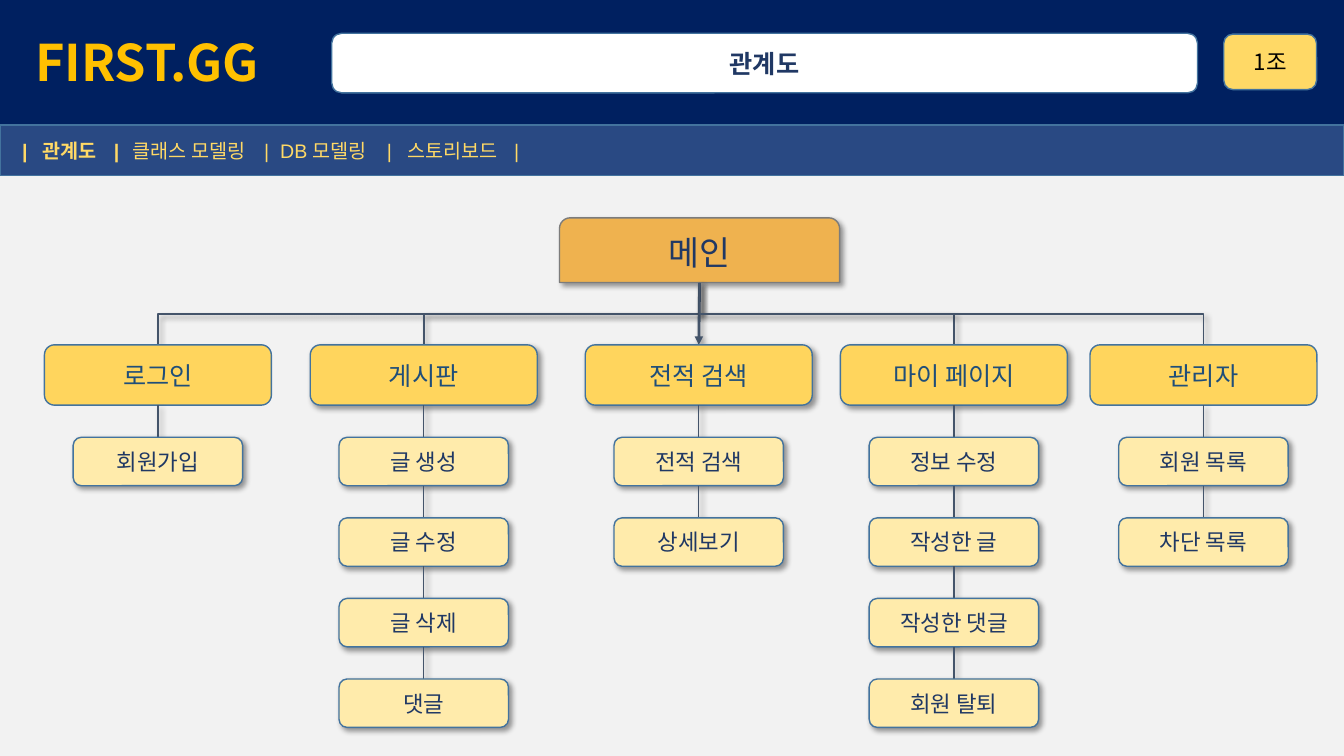
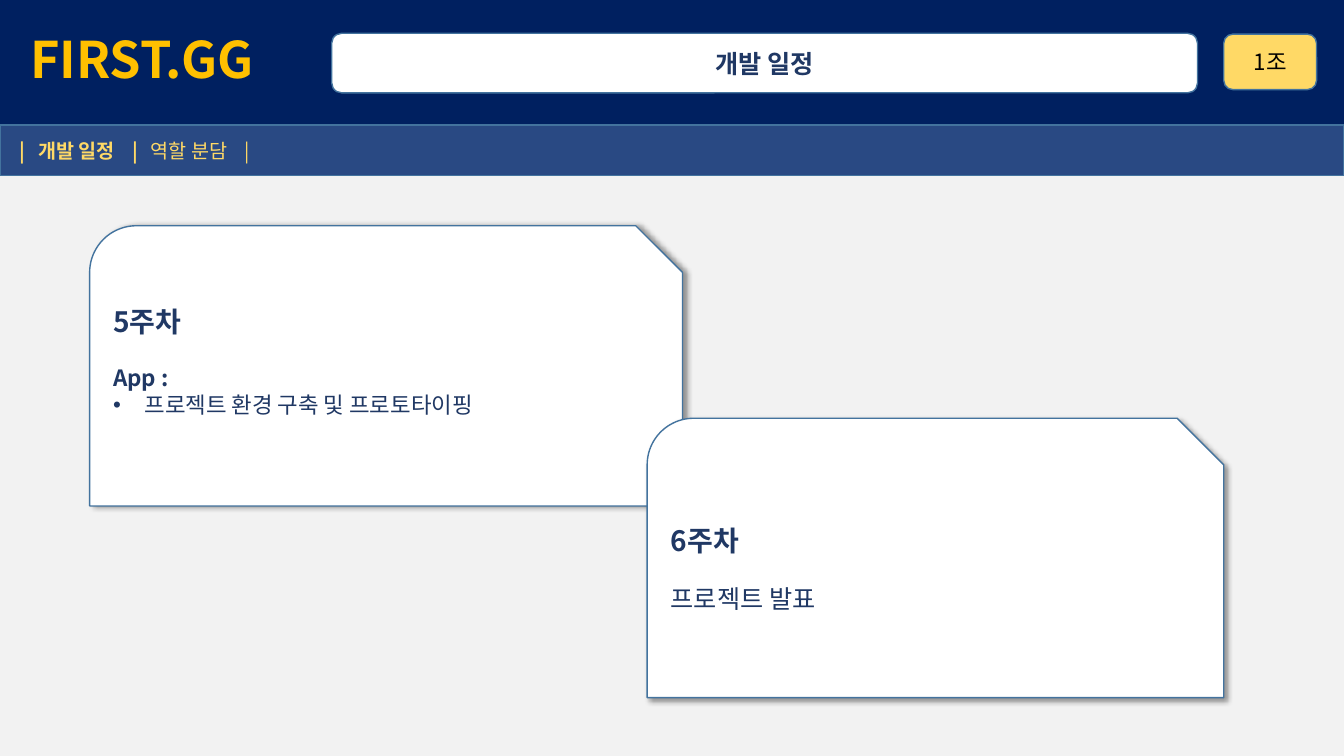
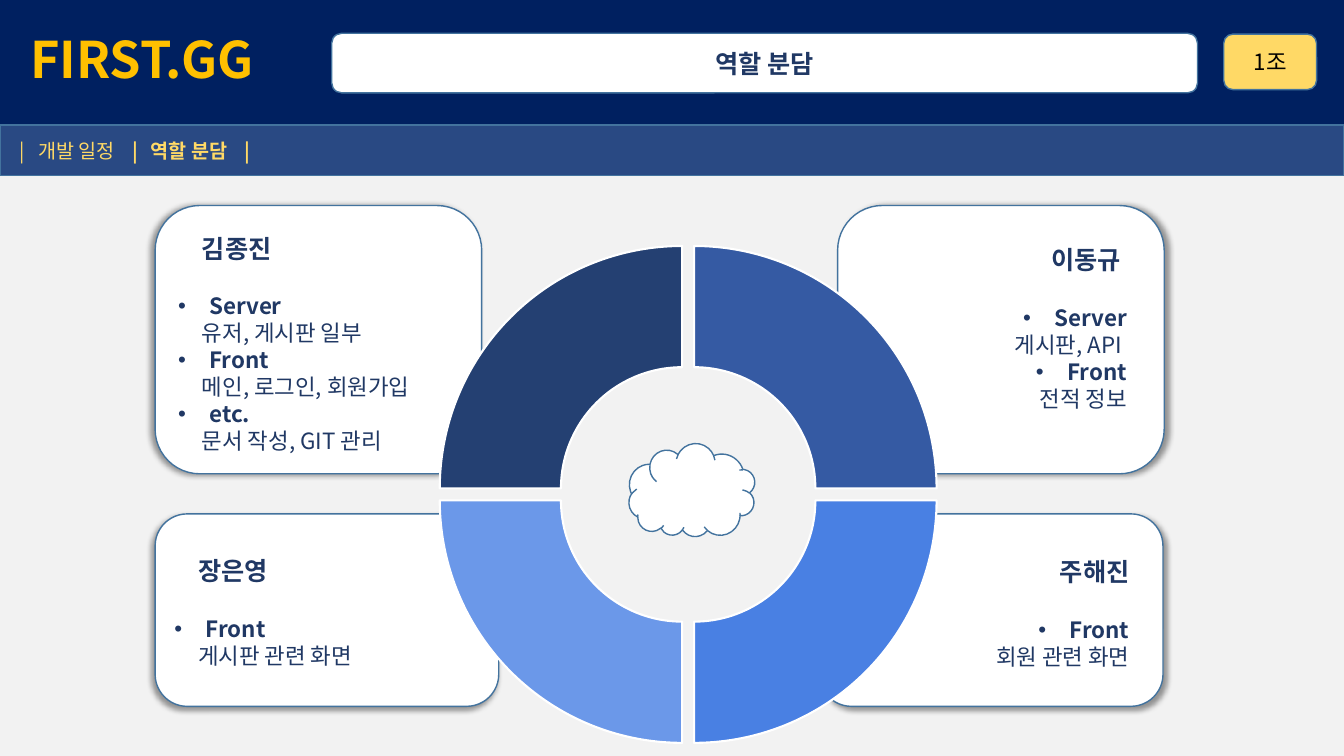
"""Build the project deck: site map, schedule and roles."""
from lxml import etree
from pptx import Presentation
from pptx.chart.data import CategoryChartData
from pptx.dml.color import RGBColor
from pptx.enum.chart import XL_CHART_TYPE
from pptx.enum.shapes import MSO_CONNECTOR, MSO_SHAPE
from pptx.enum.text import MSO_ANCHOR, PP_ALIGN
from pptx.oxml.ns import qn
from pptx.util import Cm, Pt

RECT = MSO_SHAPE.RECTANGLE
ROUND = MSO_SHAPE.ROUNDED_RECTANGLE
ROUND_TOP = MSO_SHAPE.ROUND_2_SAME_RECTANGLE
SNIP_ROUND = MSO_SHAPE.SNIP_ROUND_SINGLE_CORNER if hasattr(
    MSO_SHAPE, "SNIP_ROUND_SINGLE_CORNER") else MSO_SHAPE.SNIP_ROUND_RECTANGLE
CLOUD = MSO_SHAPE.CLOUD
STRAIGHT, ELBOW = MSO_CONNECTOR.STRAIGHT, MSO_CONNECTOR.ELBOW
DOUGHNUT = XL_CHART_TYPE.DOUGHNUT
LEFT, CENTER, RIGHT = PP_ALIGN.LEFT, PP_ALIGN.CENTER, PP_ALIGN.RIGHT
TOP, MIDDLE = MSO_ANCHOR.TOP, MSO_ANCHOR.MIDDLE

FONT = "Noto Sans CJK KR"
WHITE = RGBColor(0xFF, 0xFF, 0xFF)
BLACK = RGBColor(0, 0, 0)
PAPER = RGBColor(0xF2, 0xF2, 0xF2)
NAVY = RGBColor(0x00, 0x20, 0x60)
MENU_BLUE = RGBColor(0x29, 0x49, 0x83)
EDGE = RGBColor(0x43, 0x73, 0x9E)
INK = RGBColor(0x20, 0x38, 0x64)
HEAD_INK = RGBColor(0x1F, 0x4E, 0x79)
GOLD = RGBColor(0xFF, 0xC0, 0x00)
SAND = RGBColor(0xFF, 0xD9, 0x66)
ORANGE = RGBColor(0xEF, 0xB2, 0x4F)
GRAY = RGBColor(0x7C, 0x7C, 0x7C)
HEAD_YELLOW = RGBColor(0xFF, 0xD5, 0x5D)
ITEM_YELLOW = RGBColor(0xFF, 0xEB, 0xAB)
SLATE = RGBColor(0x44, 0x54, 0x6A)
RING = (RGBColor(0x35, 0x5A, 0xA3), RGBColor(0x49, 0x80, 0xE3),
        RGBColor(0x6B, 0x98, 0xE9), RGBColor(0x24, 0x40, 0x72))

PAGE_WIDTH, PAGE_HEIGHT = 33.87, 19.05
MAP_MENU = ("관계도", "클래스 모델링", "DB 모델링", "스토리보드")
MAP_STOPS = (0.51, 2.31, 2.79, 6.1, 6.5, 9.19, 9.7, 12.4)
PLAN_MENU = ("개발 일정", "역할 분담")
PLAN_STOPS = (0.46, 2.84, 3.3, 5.66)

SITE_MAP = (
    (3.98, "로그인", ("회원가입",)),
    (10.68, "게시판", ("글 생성", "글 수정", "글 삭제", "댓글")),
    (17.61, "전적 검색", ("전적 검색", "상세보기")),
    (24.04, "마이 페이지", ("정보 수정", "작성한 글", "작성한 댓글", "회원 탈퇴")),
    (30.33, "관리자", ("회원 목록", "차단 목록")),
)


def add_shadow(element, direction):
    """Put a soft shadow on a shape or connector element."""
    effects = element.spPr.find(qn("a:effectLst"))
    if effects is None:
        effects = etree.SubElement(element.spPr, qn("a:effectLst"))
    shadow = etree.SubElement(effects, qn("a:outerShdw"), blurRad=str(Pt(4)),
                              dist=str(Pt(3)), dir=str(direction * 60000),
                              algn="tl", rotWithShape="0")
    color = etree.SubElement(shadow, qn("a:srgbClr"), val="000000")
    etree.SubElement(color, qn("a:alpha"), val="40000")


def add_span(para, text, size=16, color=INK, bold=False, font=FONT):
    """Add a formatted run to a paragraph."""
    span = para.add_run()
    span.text = text
    span.font.size = Pt(size)
    span.font.bold = bold
    span.font.color.rgb = color
    span.font.name = font
    etree.SubElement(span.font._element, qn("a:ea"), typeface=FONT)


def add_box(page, kind, place, fill, line=EDGE, shadow=None, text="", align=CENTER, **style):
    """Add a filled preset shape with an optional line of text."""
    box = page.shapes.add_shape(kind, *map(Cm, place))
    box.fill.solid()
    box.fill.fore_color.rgb = fill
    if line is None:
        box.line.fill.background()
    else:
        box.line.color.rgb = line
        box.line.width = Pt(1)
    box.shadow.inherit = False
    if shadow is not None:
        add_shadow(box.element, shadow)
    frame = box.text_frame
    frame.word_wrap = True
    frame.vertical_anchor = MIDDLE
    para = frame.paragraphs[0]
    para.alignment = align
    if text:
        add_span(para, text, **style)
    return box


def add_line(page, kind, start, end, width=1.0, arrow=False):
    """Add a shadowed connector between two points."""
    line = page.shapes.add_connector(kind, *map(Cm, (*start, *end)))
    line.line.color.rgb = SLATE
    line.line.width = Pt(width)
    if arrow:
        etree.SubElement(line.line._get_or_add_ln(), qn("a:tailEnd"), type="triangle")
    add_shadow(line.element, 45)
    return line


def add_branch(page, start, end):
    """Add an elbow that leaves downwards, runs sideways and ends downwards."""
    middle_x, middle_y = (start[0] + end[0]) / 2, (start[1] + end[1]) / 2
    half_drop, half_run = (end[1] - start[1]) / 2, abs(end[0] - start[0]) / 2
    leftward = end[0] < start[0]
    side = half_drop if leftward else -half_drop
    line = add_line(page, ELBOW, (middle_x - side, middle_y - half_run),
                    (middle_x + side, middle_y + half_run), width=1.25)
    turn = 90 if leftward else 270
    line.element.spPr.find(qn("a:xfrm")).set("rot", str(turn * 60000))


def add_menu(page, names, active, stops, left, font):
    """Add the menu band, with the active entry and its bars in bold."""
    box = add_box(page, RECT, (0, 3.15, PAGE_WIDTH, 1.27), MENU_BLUE, align=LEFT)
    box.text_frame.margin_left = Cm(left)
    para = box.text_frame.paragraphs[0]
    tabs = etree.SubElement(para._p.get_or_add_pPr(), qn("a:tabLst"))
    for stop in stops:
        etree.SubElement(tabs, qn("a:tab"), pos=str(Cm(stop)), algn="l")
    parts = ["|"]
    for name in names:
        parts += [name, "|"]
    for index, part in enumerate(parts):
        gap = "\t" if index < len(stops) else ""
        add_span(para, part + gap, size=14, color=SAND, font=font,
                 bold=abs(index - 2 * active - 1) <= 1)


def add_page(deck, title, names, stops, logo_left=0.76, logo_drop=0.13,
             menu_left=0.5, menu_font=FONT):
    """Add a page with the shared background, header and menu."""
    page = deck.slides.add_slide(deck.slide_layouts[6])
    page.background.fill.solid()
    page.background.fill.fore_color.rgb = PAPER
    band = add_box(page, RECT, (0, 0, PAGE_WIDTH, 3.15), NAVY, line=None, align=LEFT,
                   text="FIRST.GG", size=36, color=GOLD, bold=True)
    band.text_frame.margin_left = Cm(logo_left)
    band.text_frame.margin_top = Cm(logo_drop)
    band.text_frame.paragraphs[0].line_spacing = 0.9
    add_box(page, ROUND, (8.36, 0.84, 21.82, 1.5), WHITE, text=title, size=18, bold=True)
    add_box(page, ROUND, (30.84, 0.86, 2.34, 1.4), SAND, text="1조", color=BLACK)
    add_menu(page, names, names.index(title), stops, menu_left, menu_font)
    return page


def add_text_line(frame, text, size=16, bold=False, align=LEFT, before=0,
                  indent=0.0, bullet=False):
    """Add one paragraph to a card, reusing its empty first one."""
    para = frame.paragraphs[0]
    if para.runs:
        para = frame.add_paragraph()
    para.alignment = align
    para.line_spacing = Pt(size * 1.2)
    para.space_before = Pt(before)
    properties = para._p.get_or_add_pPr()
    properties.set("marL", str(Cm(0.79 if bullet else indent)))
    if bullet:
        properties.set("indent", str(Cm(-0.79)))
        etree.SubElement(properties, qn("a:buFont"), typeface="Arial")
        etree.SubElement(properties, qn("a:buChar"), char="•")
    add_span(para, text, size=size, bold=bold)


def add_card(page, kind, place, shadow, top):
    """Add a white card and return its text frame, filled from the top."""
    frame = add_box(page, kind, place, WHITE, shadow=shadow).text_frame
    frame.vertical_anchor = TOP
    frame.margin_top = Cm(top)
    return frame


def add_role_card(page, place, shadow, top, name, tasks, align=LEFT):
    """Add a member's card with bulleted areas and their tasks."""
    frame = add_card(page, ROUND, place, shadow, top)
    if align == RIGHT:
        frame.margin_right = Cm(0.61)
    inset = 0 if align == RIGHT else 0.6
    add_text_line(frame, name, size=18, bold=True, align=align, indent=inset)
    for index, (area, task) in enumerate(tasks):
        add_text_line(frame, area, bold=True, align=align, bullet=True,
                      before=0 if index else 21)
        add_text_line(frame, task, align=align, indent=inset)


def add_ring(page, place):
    """Add the four-part doughnut chart."""
    data = CategoryChartData()
    data.categories = ["1", "2", "3", "4"]
    data.add_series("Series 1", [25] * 4)
    chart = page.shapes.add_chart(DOUGHNUT, *map(Cm, place), data).chart
    chart.has_legend = False
    chart.has_title = False
    chart.font.size = Pt(10)
    chart.font.name = FONT
    chart.font.color.rgb = BLACK
    series = chart.plots[0].series[0]
    for index, color in enumerate(RING):
        form = series.points[index].format
        form.fill.solid()
        form.fill.fore_color.rgb = color
        form.line.color.rgb = WHITE
        form.line.width = Pt(1.5)
    explosion = etree.Element(qn("c:explosion"), val="7")
    series._element.find(qn("c:dPt")).addprevious(explosion)
    plot_area = chart.element.find(".//" + qn("c:plotArea"))
    plot_area.find(".//" + qn("c:holeSize")).set("val", "45")
    for old_layout in plot_area.findall(qn("c:layout")):
        plot_area.remove(old_layout)
    layout = etree.Element(qn("c:layout"))
    plot_area.insert(0, layout)
    manual = etree.SubElement(layout, qn("c:manualLayout"))
    settings = (("layoutTarget", "inner"), ("xMode", "edge"), ("yMode", "edge"),
                ("x", "0.08"), ("y", "0.11"), ("w", "0.88"), ("h", "0.85"))
    for tag, value in settings:
        etree.SubElement(manual, qn("c:" + tag), val=value)


def build_site_map(deck):
    """Build the site map page."""
    page = add_page(deck, "관계도", MAP_MENU, MAP_STOPS, logo_left=0.89, logo_drop=0.26,
                    menu_left=0.56, menu_font="Arial")
    root = (17.63, 7.13)
    head_top, head_width, head_height = 8.69, 5.72, 1.52
    item_top, item_width, item_height, item_step = 11.02, 4.27, 1.22, 2.03
    add_box(page, ROUND_TOP, (14.1, 5.49, 7.06, 1.63), ORANGE, line=GRAY, shadow=45,
            text="메인", size=24)
    for index, (center, head, items) in enumerate(SITE_MAP):
        if index == 2:
            add_line(page, STRAIGHT, root, (center, head_top), width=2, arrow=True)
        else:
            add_branch(page, root, (center, head_top))
        outer = index in (0, len(SITE_MAP) - 1)
        add_box(page, ROUND, (center - head_width / 2, head_top, head_width, head_height),
                HEAD_YELLOW, shadow=None if outer else 45, text=head, size=18, color=HEAD_INK)
        above = head_top + head_height
        for row, item in enumerate(items):
            top = item_top + row * item_step
            add_line(page, STRAIGHT, (center, above), (center, top))
            add_box(page, ROUND, (center - item_width / 2, top, item_width, item_height),
                    ITEM_YELLOW, shadow=45, text=item)
            above = top + item_height


def build_schedule(deck):
    """Build the schedule page."""
    page = add_page(deck, "개발 일정", PLAN_MENU, PLAN_STOPS)
    frame = add_card(page, SNIP_ROUND, (2.26, 5.69, 14.94, 7.06), 0, 1.63)
    add_text_line(frame, "5주차", size=20, bold=True)
    add_text_line(frame, "App :", bold=True, before=19)
    add_text_line(frame, "프로젝트 환경 구축 및 프로토타이핑", bullet=True)
    frame = add_card(page, SNIP_ROUND, (16.31, 10.54, 14.53, 7.04), 45, 2.31)
    add_text_line(frame, "6주차", size=20, bold=True)
    add_text_line(frame, "프로젝트 발표", size=18, before=19)


def build_roles(deck):
    """Build the roles page."""
    page = add_page(deck, "역할 분담", PLAN_MENU, PLAN_STOPS)
    add_role_card(page, (21.11, 5.18, 8.23, 6.76), 0, 0.66, "이동규 ",
                  (("Server", "게시판, API "), ("Front", "전적 정보")), align=RIGHT)
    add_role_card(page, (20.65, 12.95, 8.66, 4.85), 45, 0.84, "주해진",
                  (("Front", "회원 관련 화면"),), align=RIGHT)
    add_role_card(page, (3.91, 12.95, 8.66, 4.85), 135, 0.81, "장은영",
                  (("Front", "게시판 관련 화면"),))
    add_role_card(page, (3.91, 5.18, 8.23, 6.76), 180, 0.36, "김종진",
                  (("Server", "유저, 게시판 일부"), ("Front", "메인, 로그인, 회원가입"),
                   ("etc.", "문서 작성, GIT 관리")))
    add_ring(page, (9.83, 4.5, 14.45, 14.88))
    cloud = add_box(page, CLOUD, (15.85, 11.18, 3.18, 2.39), WHITE)
    cloud.rotation = 190.3


def main():
    """Build and save the deck."""
    deck = Presentation()
    deck.slide_width, deck.slide_height = Cm(PAGE_WIDTH), Cm(PAGE_HEIGHT)
    build_site_map(deck)
    build_schedule(deck)
    build_roles(deck)
    deck.save("out.pptx")


if __name__ == "__main__":
    main()
